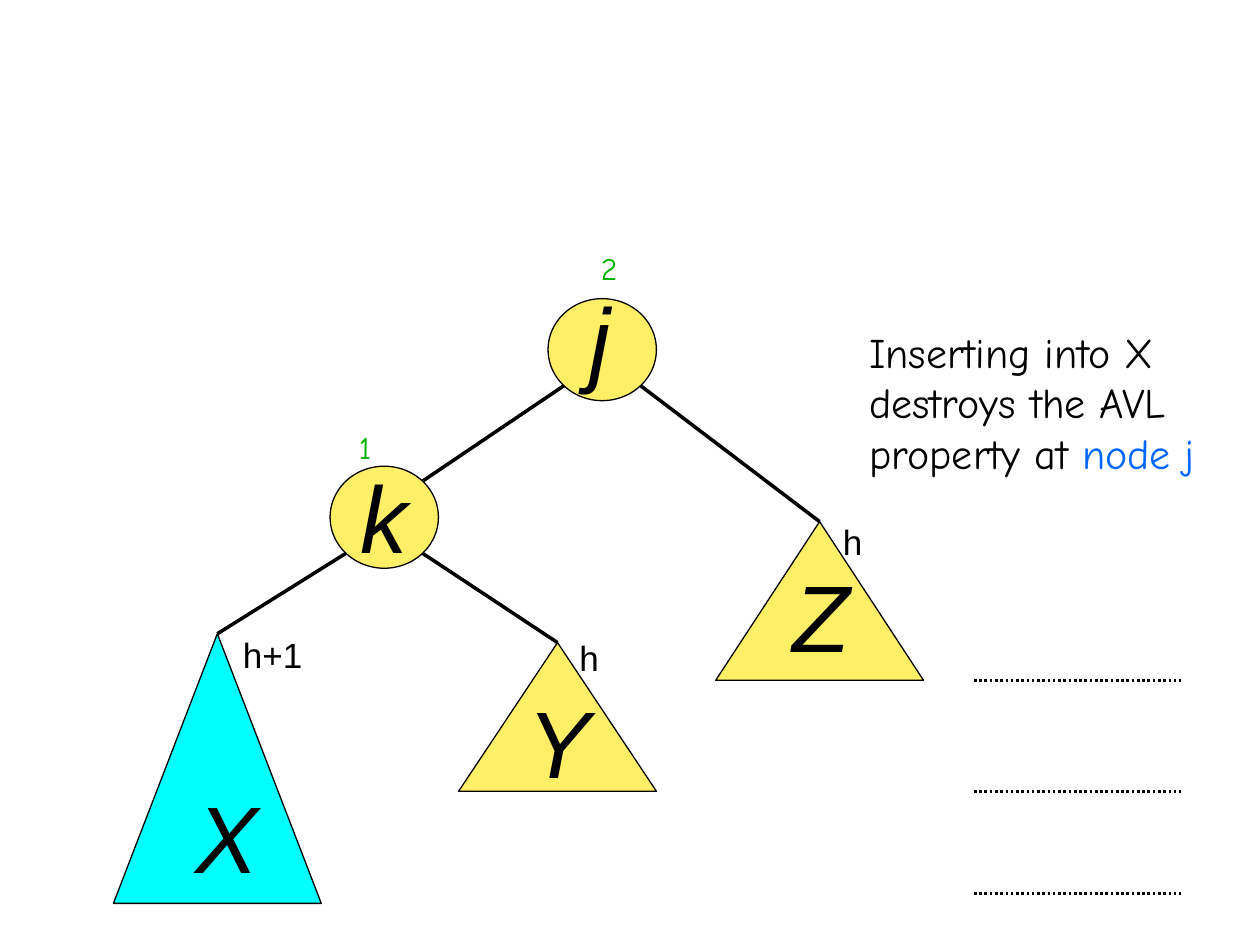
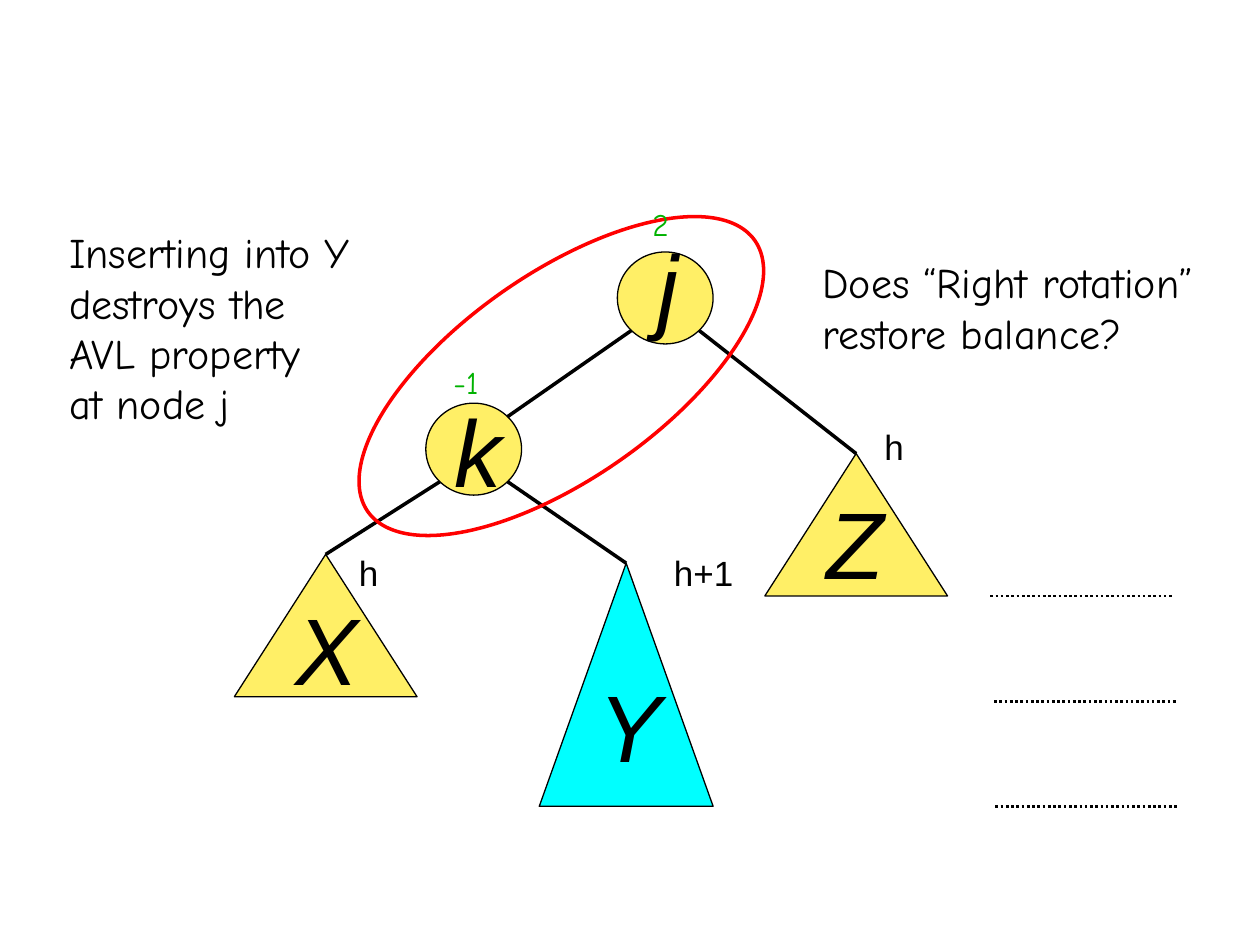
from dataclasses import dataclass
from math import sqrt

from lxml import etree
from pptx import Presentation
from pptx.dml.color import RGBColor
from pptx.enum.dml import MSO_LINE
from pptx.enum.shapes import MSO_CONNECTOR, MSO_SHAPE
from pptx.enum.text import MSO_ANCHOR, MSO_AUTO_SIZE
from pptx.oxml.ns import qn
from pptx.util import Inches, Pt

# Enum members
ELLIPSE = MSO_SHAPE.OVAL
TRIANGLE = MSO_SHAPE.ISOSCELES_TRIANGLE
STRAIGHT = MSO_CONNECTOR.STRAIGHT
DOTTED = MSO_LINE.ROUND_DOT
FIT_TEXT = MSO_AUTO_SIZE.SHAPE_TO_FIT_TEXT
TOP = MSO_ANCHOR.TOP

# Colours and fonts
BLACK = RGBColor(0x00, 0x00, 0x00)
YELLOW = RGBColor(0xFF, 0xEF, 0x66)
CYAN = RGBColor(0x00, 0xFF, 0xFF)
GREEN = RGBColor(0x00, 0xB2, 0x00)
BLUE = RGBColor(0x00, 0x66, 0xFF)
RED = RGBColor(0xFF, 0x00, 0x00)
SANS, COMIC = "Arial", "Comic Neue"

# The slide is a grid of 100 columns and 75 rows
COLUMNS, ROWS = 100, 75
WIDTH, HEIGHT = Inches(10), Inches(7.5)
TOP_SITE = 0


def col(n: float) -> int:
    return round(WIDTH * n / COLUMNS)


def row(n: float) -> int:
    return round(HEIGHT * n / ROWS)


@dataclass(frozen=True)
class Style:
    font: str
    size: int
    color: RGBColor = BLACK
    italic: bool = False


LETTER = Style(SANS, 54, italic=True)
HEIGHT_LABEL = Style(SANS, 20)
BALANCE = Style(COMIC, 18, GREEN)
NOTE = Style(COMIC, 24)


@dataclass(frozen=True)
class Box:
    x: float
    y: float
    w: float
    h: float


@dataclass(frozen=True)
class Node:
    """A tree node, or a subtree, with its letter and a small label."""
    letter: str
    box: Box
    letter_at: tuple[float, float]
    label: str
    label_at: tuple[float, float]
    color: RGBColor = YELLOW

    def diagonal(self, dx: int, dy: int) -> tuple[float, float]:
        """The point of the inscribed ellipse at 45 degrees."""
        b, reach = self.box, 1 / sqrt(2)
        return (b.x + b.w / 2 * (1 + dx * reach),
                b.y + b.h / 2 * (1 + dy * reach))


@dataclass(frozen=True)
class Note:
    box: Box
    lines: list[str]
    accent: str = ""


@dataclass(frozen=True)
class Tree:
    j: Node
    k: Node
    x: Node
    y: Node
    z: Node
    letter_width: float
    notes: list[Note]
    level_width: float
    levels: list[tuple[float, float]]
    highlight: Box | None = None


TREES = [
    Tree(
        j=Node("j", Box(43.5, 23.7, 8.6, 8.1), (45.8, 21.8), "2", (46.7, 19.3)),
        k=Node("k", Box(26.2, 37, 8.6, 8.1), (27.6, 35.9), "1", (27.5, 33.5)),
        x=Node("X", Box(9, 50.3, 16.5, 21.4), (14.5, 61.3), "h+1", (18.3, 49.8), CYAN),
        y=Node("Y", Box(36.4, 51, 15.7, 11.8), (40.9, 53.8), "h", (45, 50)),
        z=Node("Z", Box(56.8, 41.4, 16.5, 12.6), (61.9, 43.8), "h", (65.9, 40.8)),
        letter_width=5.3,
        notes=[Note(Box(68, 25.4, 27.9, 13),
                    ["Inserting into X", "destroys the AVL", "property at "], "node j")],
        level_width=16.4,
        levels=[(77.3, 54), (77.3, 62.8), (77.3, 70.9)],
    ),
    Tree(
        j=Node("j", Box(49, 20, 7.6, 7.3), (51.2, 17.6), "2", (50.8, 15.8)),
        k=Node("k", Box(33.8, 32, 7.6, 7.3), (35.1, 30.7), "-1", (35, 28.3)),
        x=Node("X", Box(18.6, 44, 14.5, 11.3), (22.5, 46.4), "h", (27.5, 43.3)),
        y=Node("Y", Box(42.8, 44.7, 13.8, 19.3), (46.5, 52.5), "h+1", (52.5, 43.3), CYAN),
        z=Node("Z", Box(60.7, 36, 14.5, 11.3), (64.6, 38), "h", (69.2, 33.3)),
        letter_width=4.6,
        notes=[Note(Box(4.5, 17.5, 25.5, 17),
                    ["Inserting into Y", "destroys the", "AVL property", "at node j"]),
               Note(Box(64.3, 19.9, 31.6, 9),
                    ["Does “Right rotation”", "restore balance?"])],
        level_width=14.5,
        levels=[(78.6, 47.3), (78.9, 55.7), (79, 64)],
        highlight=Box(25.8, 21.7, 37.5, 16.3),
    ),
]


def add_outline(slide, kind, box: Box, fill: RGBColor | None,
                line: RGBColor = BLACK, width: float = 0.75):
    sp = slide.shapes.add_shape(kind, col(box.x), row(box.y), col(box.w), row(box.h))
    sp.shadow.inherit = False
    if fill is None:
        sp.fill.background()
    else:
        sp.fill.solid()
        sp.fill.fore_color.rgb = fill
    sp.line.color.rgb = line
    sp.line.width = Pt(width)
    return sp


def add_line(slide, start: tuple[float, float], end: tuple[float, float],
             width: float = 2, dash=None):
    line = slide.shapes.add_connector(STRAIGHT, col(start[0]), row(start[1]),
                                      col(end[0]), row(end[1]))
    line.line.color.rgb = BLACK
    line.line.width = Pt(width)
    if dash is not None:
        line.line.dash_style = dash
    etree.SubElement(line._element.spPr, qn("a:effectLst"))
    return line


def format_run(r, style: Style) -> None:
    r.font.name = style.font
    r.font.size = Pt(style.size)
    r.font.italic = style.italic
    r.font.color.rgb = style.color


def add_text(slide, box: Box, lines: list[str], style: Style, wrap: bool):
    sp = slide.shapes.add_textbox(col(box.x), row(box.y), col(box.w), row(box.h))
    tf = sp.text_frame
    tf.word_wrap = wrap
    tf.auto_size = FIT_TEXT
    tf.vertical_anchor = TOP
    tf.text = "\n".join(lines)
    for p in tf.paragraphs:
        for r in p.runs:
            format_run(r, style)
    return tf


def add_note(slide, note: Note) -> None:
    tf = add_text(slide, note.box, note.lines, NOTE, wrap=False)
    if note.accent:
        r = tf.paragraphs[-1].add_run()
        r.text = note.accent
        format_run(r, Style(NOTE.font, NOTE.size, BLUE))


def add_node(slide, node: Node, kind, letter_width: float):
    sp = add_outline(slide, kind, node.box, node.color)
    add_text(slide, Box(*node.letter_at, letter_width, 10), [node.letter], LETTER, wrap=True)
    return sp


def add_label(slide, node: Node, is_subtree: bool) -> None:
    if is_subtree:
        w = 6.7 if len(node.label) > 1 else 3.5
        add_text(slide, Box(*node.label_at, w, 4.4), [node.label], HEIGHT_LABEL, wrap=False)
    else:
        add_text(slide, Box(*node.label_at, 5.8, 4), [node.label], BALANCE, wrap=True)


def add_tree(slide, tree: Tree) -> None:
    # Nodes and subtrees
    for node in (tree.j, tree.k):
        add_node(slide, node, ELLIPSE, tree.letter_width)
    subtrees = {node.letter: add_node(slide, node, TRIANGLE, tree.letter_width)
                for node in (tree.x, tree.y, tree.z)}

    # Edges
    add_line(slide, tree.j.diagonal(-1, 1), tree.k.diagonal(1, -1))
    for parent, side, child in ((tree.k, -1, tree.x), (tree.k, 1, tree.y),
                                (tree.j, 1, tree.z)):
        apex = (child.box.x + child.box.w / 2, child.box.y)
        edge = add_line(slide, parent.diagonal(side, 1), apex)
        edge.end_connect(subtrees[child.letter], TOP_SITE)

    # Dotted depth levels
    for x, y in tree.levels:
        add_line(slide, (x, y), (x + tree.level_width, y), 1.5, DOTTED)

    # Notes, ring around the rotated pair, labels
    for note in tree.notes:
        add_note(slide, note)
    if tree.highlight:
        ring = add_outline(slide, ELLIPSE, tree.highlight, None, RED, 2)
        ring.rotation = 325
    for node in (tree.j, tree.k, tree.x, tree.y, tree.z):
        add_label(slide, node, node.letter in subtrees)


def main() -> None:
    prs = Presentation()
    prs.slide_width, prs.slide_height = WIDTH, HEIGHT
    blank = prs.slide_layouts[6]
    for tree in TREES:
        add_tree(prs.slides.add_slide(blank), tree)
    prs.save("out.pptx")


if __name__ == "__main__":
    main()
